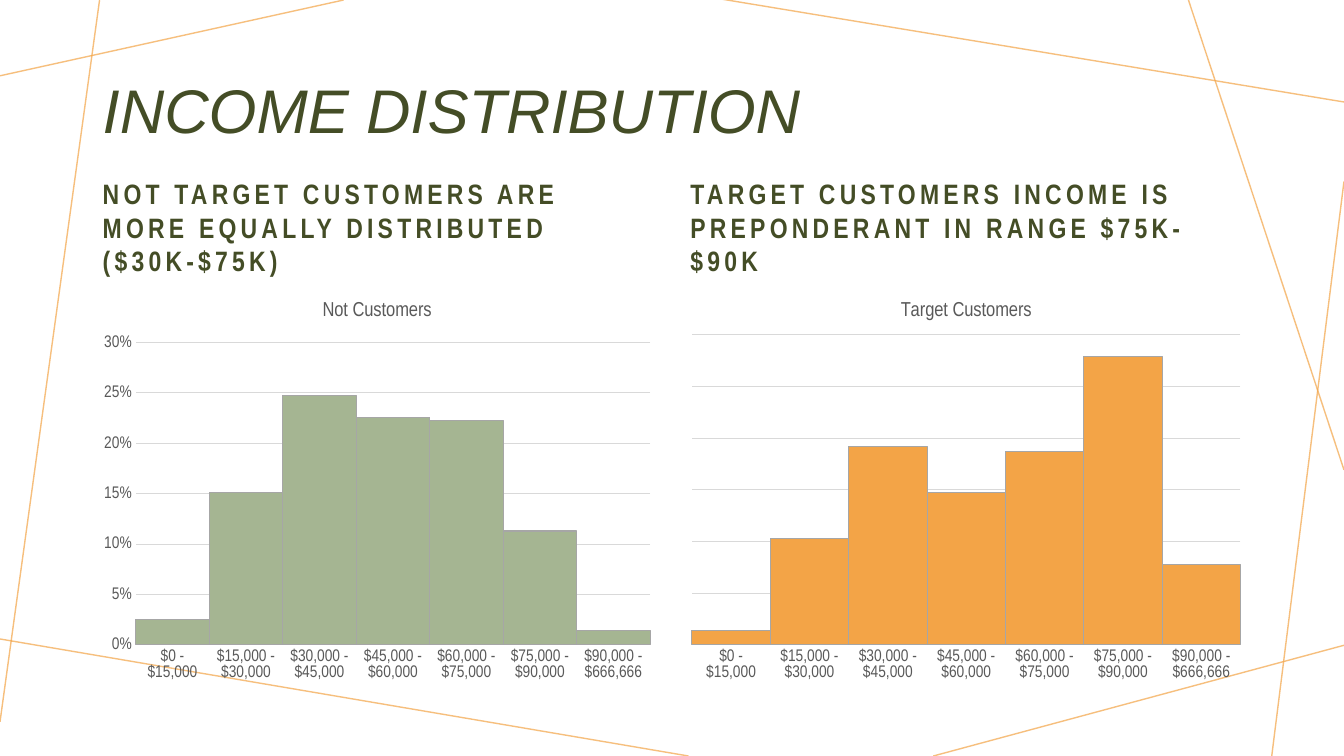
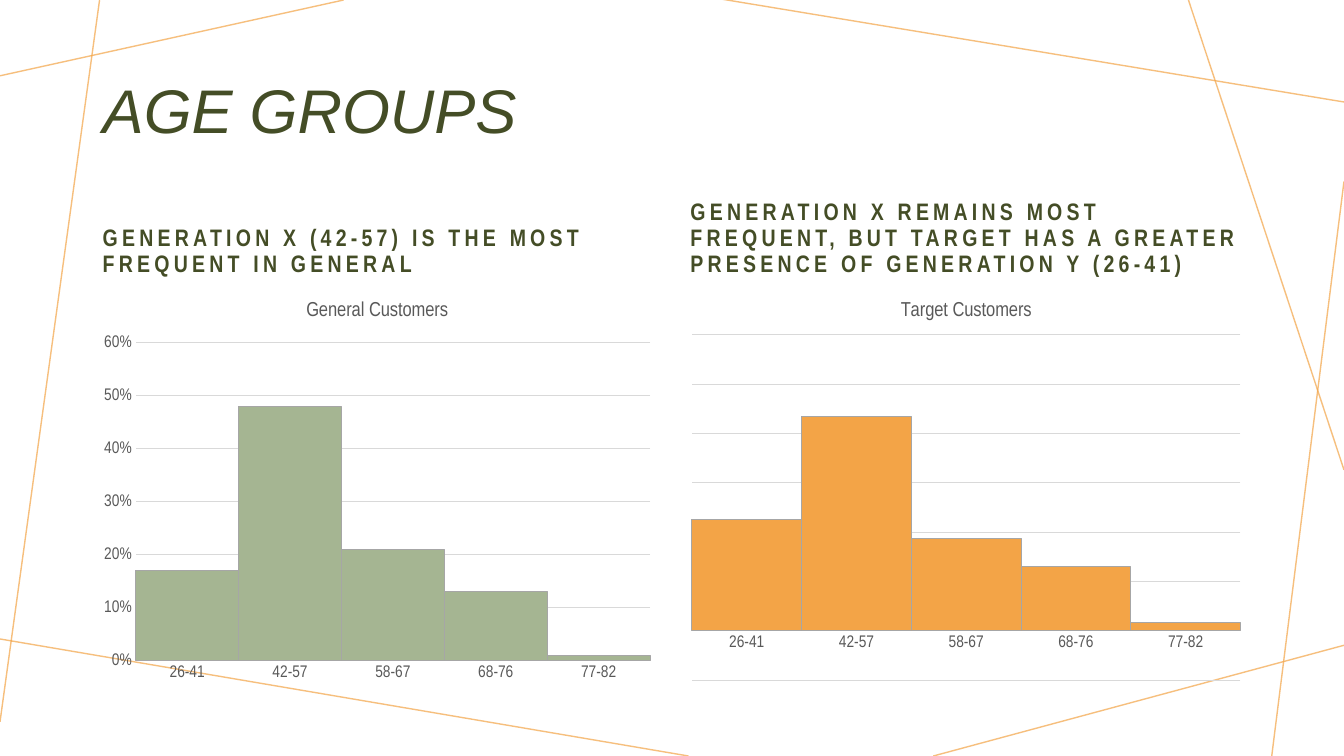
from dataclasses import dataclass

from lxml import etree
from pptx import Presentation
from pptx.chart.data import CategoryChartData
from pptx.dml.color import RGBColor
from pptx.enum.chart import XL_CHART_TYPE, XL_TICK_MARK
from pptx.enum.shapes import MSO_CONNECTOR
from pptx.enum.text import MSO_ANCHOR
from pptx.oxml.ns import qn
from pptx.util import Cm, Pt

COLUMNS = XL_CHART_TYPE.COLUMN_CLUSTERED
NO_TICK = XL_TICK_MARK.NONE
STRAIGHT = MSO_CONNECTOR.STRAIGHT
MIDDLE, BOTTOM = MSO_ANCHOR.MIDDLE, MSO_ANCHOR.BOTTOM

COLORS = {
    "text": "444D26", "accent": "F3A447", "green": "A5B592",
    "label": "595959", "grid": "D9D9D9", "border": "A6A6A6",
}
TITLE_FONT = {"name": "Arial", "size": Pt(44), "italic": True}
HEADING_FONT = {"name": "Arial Narrow", "bold": True}
LABEL_FONT = {"name": "Arial Narrow", "size": Pt(12), "bold": False}
CHART_TITLE_FONT = {**LABEL_FONT, "size": Pt(14.4)}

# Page geometry in centimetres
WIDTH, HEIGHT = 33.87, 19.05
TITLE_AREA = (2.34, 1.02, 29.21, 3.68)
COLUMN_SPANS = ((2.34, 14.33), (17.15, 14.4))
HEADING_TOP, HEADING_HEIGHT = 4.83, 2.29
CHART_TOP, CHART_HEIGHT = 7.11, 10.24
BACKGROUND_LINES = (
    (8.66, 0, 0, 1.91),
    (2.51, 0, 0, 18.19),
    (17.35, HEIGHT, -0.13, 16.08),
    (WIDTH, 16.26, 23.52, HEIGHT),
    (WIDTH, 4.57, 32.05, HEIGHT),
    (WIDTH, 11.84, 29.95, 0),
    (WIDTH, 2.57, 18.14, -0.03),
)


@dataclass
class Histogram:
    heading: str
    title: str
    series: str
    values: tuple
    color: str
    scale: dict
    show_values: bool = True


@dataclass
class Page:
    title: str
    heading_size: float
    heading_spacing: float
    categories: tuple
    histograms: tuple


INCOME_LIMITS = ("$0", "$15,000", "$30,000", "$45,000",
                 "$60,000", "$75,000", "$90,000", "$666,666")
INCOME_RANGES = tuple(f"{low} - {high}" for low, high
                      in zip(INCOME_LIMITS, INCOME_LIMITS[1:]))

PAGES = (
    Page("INCOME DISTRIBUTION", 20, 1.0, INCOME_RANGES, (
        Histogram(
            "NOT TARGET CUSTOMERS ARE MORE EQUALLY DISTRIBUTED ($30K-$75K)",
            "Not Customers", "Series 1",
            (0.025, 0.151, 0.247, 0.226, 0.223, 0.113, 0.014), "green",
            {"minimum_scale": 0, "maximum_scale": 0.3, "major_unit": 0.05}),
        Histogram(
            "TARGET CUSTOMERS INCOME IS PREPONDERANT IN RANGE $75K-$90K",
            "Target Customers", "Series 1",
            (5, 37, 69, 53, 67, 100, 28), "accent",
            {"minimum_scale": 0, "maximum_scale": 107.7, "major_unit": 17.95},
            show_values=False),
    )),
    Page("AGE GROUPS", 17, 0.9, ("26-41", "42-57", "58-67", "68-76", "77-82"), (
        Histogram(
            "GENERATION X (42-57) IS THE MOST FREQUENT IN GENERAL",
            "General Customers", "General Customers",
            (0.17, 0.48, 0.21, 0.13, 0.01), "green",
            {"minimum_scale": 0, "maximum_scale": 0.6, "major_unit": 0.1}),
        Histogram(
            "GENERATION X REMAINS MOST FREQUENT, BUT TARGET HAS A GREATER "
            "PRESENCE OF GENERATION Y (26-41)",
            "Target Customers", "Target Customers",
            (52, 100, 43, 30, 4), "accent",
            {"minimum_scale": -23, "maximum_scale": 138, "major_unit": 23},
            show_values=False),
    )),
)


def color_of(name: str) -> RGBColor:
    return RGBColor.from_string(COLORS[name])


def set_font(font, values: dict, color: str) -> None:
    for name, value in values.items():
        setattr(font, name, value)
    font.color.rgb = color_of(color)


def set_line(line, color: str, width: float = 0.75) -> None:
    line.color.rgb = color_of(color)
    line.width = Pt(width)


def draw_background(slide) -> None:
    for ends in BACKGROUND_LINES:
        connector = slide.shapes.add_connector(STRAIGHT, *map(Cm, ends))
        set_line(connector.line, "accent", 1)
        properties = connector._element.spPr
        color = properties.find(".//" + qn("a:srgbClr"))
        etree.SubElement(color, qn("a:alpha")).set("val", "70000")
        etree.SubElement(properties, qn("a:effectLst"))


def draw_text(slide, area: tuple, text: str, font: dict, anchor,
              line_spacing: float, space_before: float = 0,
              tracking: float = 0) -> None:
    box = slide.shapes.add_textbox(*map(Cm, area))
    frame = box.text_frame
    frame.word_wrap = True
    frame.vertical_anchor = anchor
    paragraph = frame.paragraphs[0]
    paragraph.line_spacing = line_spacing
    paragraph.space_before = Pt(space_before)
    span = paragraph.add_run()
    span.text = text
    set_font(span.font, font, "text")
    if tracking:
        span._r.get_or_add_rPr().set("spc", str(int(tracking * 100)))


def draw_histogram(slide, area: tuple, categories: tuple,
                   histogram: Histogram) -> None:
    data = CategoryChartData(number_format="0%")
    data.categories = categories
    data.add_series(histogram.series, histogram.values)
    chart = slide.shapes.add_chart(COLUMNS, *map(Cm, area), data).chart
    set_font(chart.font, LABEL_FONT, "label")
    chart.has_legend = False

    # Chart title
    title = chart.chart_title
    title.include_in_layout = False
    title.text_frame.text = histogram.title
    set_font(title.text_frame.paragraphs[0].runs[0].font,
             CHART_TITLE_FONT, "label")

    # Touching columns
    plot = chart.plots[0]
    plot.gap_width = 0
    plot.vary_by_categories = False
    series = plot.series[0]
    series.format.fill.solid()
    series.format.fill.fore_color.rgb = color_of(histogram.color)
    set_line(series.format.line, "border")

    # Axes
    for axis in (chart.category_axis, chart.value_axis):
        axis.major_tick_mark = axis.minor_tick_mark = NO_TICK
        set_font(axis.tick_labels.font, LABEL_FONT, "label")
    set_line(chart.category_axis.format.line, "grid")
    value_axis = chart.value_axis
    for name, value in histogram.scale.items():
        setattr(value_axis, name, value)
    value_axis.visible = histogram.show_values
    value_axis.format.line.fill.background()
    value_axis.tick_labels.number_format = "0%"
    value_axis.tick_labels.number_format_is_linked = False
    set_line(value_axis.major_gridlines.format.line, "grid")


def draw_page(deck, page: Page) -> None:
    slide = deck.slides.add_slide(deck.slide_layouts[6])
    draw_background(slide)
    draw_text(slide, TITLE_AREA, page.title, TITLE_FONT, MIDDLE, 0.9)
    heading_font = {**HEADING_FONT, "size": Pt(page.heading_size)}
    for (left, width), histogram in zip(COLUMN_SPANS, page.histograms):
        draw_text(slide, (left, HEADING_TOP, width, HEADING_HEIGHT),
                  histogram.heading, heading_font, BOTTOM,
                  page.heading_spacing, space_before=10, tracking=3)
        draw_histogram(slide, (left, CHART_TOP, width, CHART_HEIGHT),
                       page.categories, histogram)


def main() -> None:
    deck = Presentation()
    deck.slide_width, deck.slide_height = Cm(WIDTH), Cm(HEIGHT)
    for page in PAGES:
        draw_page(deck, page)
    deck.save("out.pptx")


if __name__ == "__main__":
    main()
